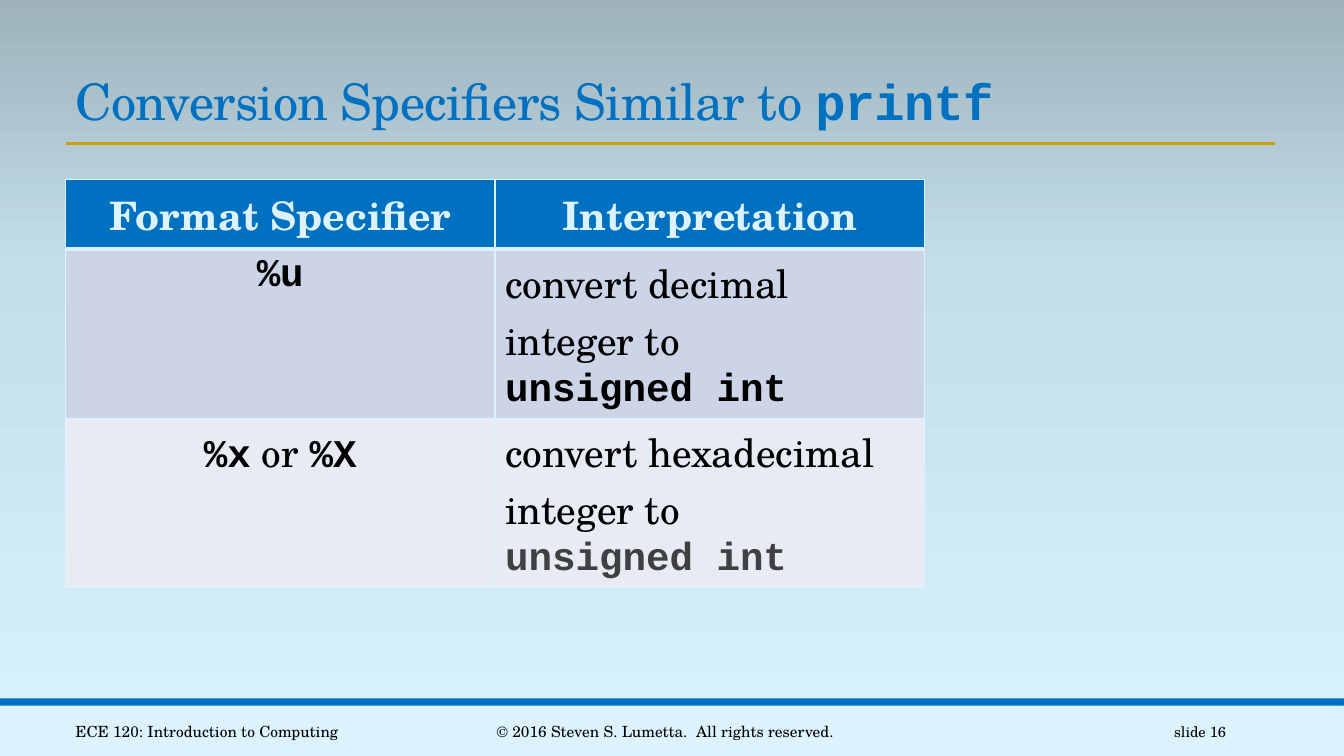
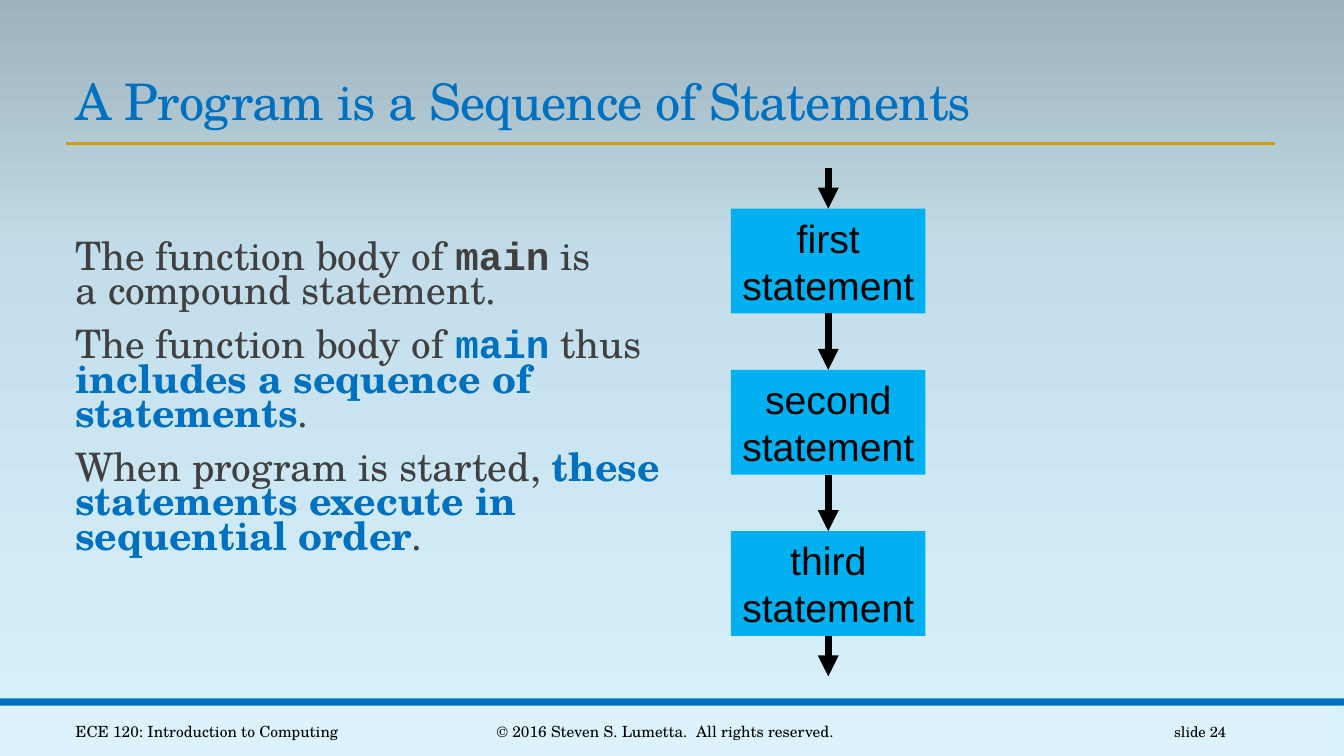
from copy import deepcopy
from dataclasses import dataclass
from typing import Optional

from lxml import etree
from pptx import Presentation
from pptx import util as u
from pptx.dml.color import RGBColor
from pptx.enum import shapes, text
from pptx.oxml.ns import qn


@dataclass(frozen=True)
class Theme:
    blue: str = "0070C0"
    pale: str = "DCF3FD"
    gold: str = "D09E00"
    sky: str = "00B0F0"
    black: str = "000000"
    grey: str = "404040"
    row_fills: tuple = ("CCD5E8", "E7EBF4")
    gradient: tuple = ((0, "DAF4FF"), (65, "C3DEEA"), (100, "9DB2BA"))
    serif: str = "TeX Gyre Schola"
    mono: str = "Courier New"
    sans: str = "Arial"
    title_size: float = 36
    body_size: float = 28
    footer_size: float = 11
    number_size: float = 10.5


THEME = Theme()
LEFT, CENTER, RIGHT = text.PP_ALIGN.LEFT, text.PP_ALIGN.CENTER, text.PP_ALIGN.RIGHT


@dataclass(frozen=True)
class Run:
    words: str
    color: str = THEME.black
    bold: bool = False
    font: str = THEME.serif


@dataclass(frozen=True)
class Box:
    left: float
    top: float
    width: float
    height: float

    def lengths(self) -> tuple:
        return tuple(u.Inches(n) for n in (self.left, self.top, self.width, self.height))


@dataclass(frozen=True)
class Footer:
    words: str
    box: Box
    align: text.PP_ALIGN
    size: float = THEME.footer_size


def code(words: str, color: str = THEME.black) -> Run:
    return Run(words, color, True, THEME.mono)


def grey(words: str) -> Run:
    return Run(words, THEME.grey)


def strong(words: str) -> Run:
    return Run(words, THEME.blue, True)


def rgb(color: str) -> RGBColor:
    return RGBColor.from_string(color)


# Text
def write_runs(paragraph, runs: list[Run], size: float, align=LEFT,
               spacing: Optional[float] = None, tracking: Optional[int] = None) -> None:
    """Fill a paragraph; a newline inside a run becomes a line break."""
    paragraph.alignment = align
    if spacing:
        paragraph.line_spacing = spacing
    for item in runs:
        for index, words in enumerate(item.words.split("\n")):
            if index:
                paragraph.add_line_break()
            run = paragraph.add_run()
            run.text = words
            run.font.name = item.font
            run.font.size = u.Pt(size)
            run.font.bold = item.bold
            run.font.color.rgb = rgb(item.color)
            if tracking:
                run.font._element.set("spc", str(tracking))


def write_paragraphs(frame, paragraphs: list[list[Run]], size: float, align=LEFT,
                     spacing: Optional[float] = None, gap: float = 0) -> None:
    for index, runs in enumerate(paragraphs):
        paragraph = frame.add_paragraph() if index else frame.paragraphs[0]
        paragraph.space_before = u.Pt(gap if index else 0)
        write_runs(paragraph, runs, size, align, spacing)


def add_text_frame(slide, box: Box, anchor=text.MSO_ANCHOR.TOP):
    frame = slide.shapes.add_textbox(*box.lengths()).text_frame
    frame.word_wrap = True
    frame.vertical_anchor = anchor
    return frame


# Shapes and lines
def add_rectangle(slide, box: Box, color: str):
    shape = slide.shapes.add_shape(shapes.MSO_SHAPE.RECTANGLE, *box.lengths())
    shape.shadow.inherit = False
    shape.fill.solid()
    shape.fill.fore_color.rgb = rgb(color)
    shape.line.fill.background()
    return shape


def add_line(slide, start: tuple, end: tuple, color: str, width: float,
             arrow: bool = False) -> None:
    ends = (u.Inches(n) for n in (*start, *end))
    connector = slide.shapes.add_connector(shapes.MSO_CONNECTOR.STRAIGHT, *ends)
    connector.line.color.rgb = rgb(color)
    connector.line.width = u.Pt(width)
    if arrow:
        etree.SubElement(connector.line._get_or_add_ln(), qn("a:tailEnd"), type="triangle")
    etree.SubElement(connector._element.spPr, qn("a:effectLst"))


# Parts shared by the slides
def paint_background(presentation) -> None:
    master = presentation.slide_master
    fill = master.background.fill
    fill.gradient()
    fill.gradient_angle = 90
    stops = next(master.element.iter(qn("a:gsLst")))
    stops.append(deepcopy(stops[-1]))
    for stop, (position, color) in zip(fill.gradient_stops, THEME.gradient):
        stop.position = position / 100
        stop.color.rgb = rgb(color)
        stop.color.brightness = 0


def add_framed_slide(presentation, title: list[Run], number: int):
    slide = presentation.slides.add_slide(presentation.slide_layouts[6])
    add_rectangle(slide, Box(-0.06, 7, 13.33, 0.5), THEME.pale)
    add_rectangle(slide, Box(0, 6.93, 13.33, 0.07), THEME.blue)
    add_line(slide, (0.65, 1.42), (12.65, 1.42), THEME.gold, 2)

    frame = add_text_frame(slide, Box(0.65, 0.59, 12.01, 0.71), text.MSO_ANCHOR.BOTTOM)
    frame.margin_bottom = 0
    write_runs(frame.paragraphs[0], title, THEME.title_size, spacing=0.85, tracking=-50)

    footers = (
        Footer("ECE 120: Introduction to Computing", Box(0.65, 7.06, 3.25, 0.4), LEFT),
        Footer("© 2016 Steven S. Lumetta.  All rights reserved.",
               Box(4.03, 7.06, 5.14, 0.4), CENTER),
        Footer(f"slide {number}", Box(10.83, 7.06, 1.43, 0.4), RIGHT, THEME.number_size),
    )
    for footer in footers:
        frame = add_text_frame(slide, footer.box, text.MSO_ANCHOR.MIDDLE)
        write_runs(frame.paragraphs[0], [Run(footer.words)], footer.size, footer.align)
    return slide


# Slide 16: table of specifiers
def set_borders(cell, bottom: float) -> None:
    properties = cell._tc.get_or_add_tcPr()
    widths = {"a:lnL": 1, "a:lnR": 1, "a:lnT": 1, "a:lnB": bottom}
    for index, (tag, width) in enumerate(widths.items()):
        line = etree.Element(qn(tag), w=str(u.Pt(width)))
        fill = etree.SubElement(line, qn("a:solidFill"))
        etree.SubElement(fill, qn("a:srgbClr"), val=THEME.pale)
        properties.insert(index, line)


def add_specifier_table(slide) -> None:
    header = [[[Run(words, THEME.pale, True)]]
              for words in ("Format Specifier", "Interpretation")]
    rows = [
        header,
        [[[code("%u")]],
         [[Run("convert decimal integer to \n"), code("unsigned int")]]],
        [[[code("%x"), Run(" or "), code("%X")]],
         [[Run("convert hexadecimal integer to")], [code("unsigned int", THEME.grey)]]],
    ]
    heights = (0.69, 1.68, 1.68)
    fills = (THEME.blue, *THEME.row_fills)
    box = Box(0.65, 1.78, 8.52, sum(heights))
    table = slide.shapes.add_table(len(rows), 2, *box.lengths()).table
    for row_index, row in enumerate(rows):
        table.rows[row_index].height = u.Inches(heights[row_index])
        for column_index, paragraphs in enumerate(row):
            cell = table.cell(row_index, column_index)
            cell.fill.solid()
            cell.fill.fore_color.rgb = rgb(fills[row_index])
            set_borders(cell, bottom=1 if row_index else 3)
            align = LEFT if row_index and column_index else CENTER
            write_paragraphs(cell.text_frame, paragraphs, THEME.body_size, align)


# Slide 24: explanation and flow of statements
def add_explanation(slide) -> None:
    frame = add_text_frame(slide, Box(0.65, 2.41, 6.5, 3.8))
    frame.margin_top = frame.margin_bottom = 0
    paragraphs = [
        [grey("The function body of "), code("main", THEME.grey),
         grey(" is \na compound statement.")],
        [grey("The function body of "), code("main", THEME.blue), grey(" thus \n"),
         strong("includes a sequence of \nstatements"), grey(".")],
        [grey("When program is started, "),
         strong("these \nstatements execute in \nsequential order"), grey(".")],
    ]
    write_paragraphs(frame, paragraphs, THEME.body_size, spacing=0.73, gap=14)


def add_statement_flow(slide) -> None:
    left, top, width, height, step = 7.25, 2.07, 1.93, 1.04, 1.6
    ordinals = ("first", "second", "third")
    tops = [top + step * index for index in range(len(ordinals))]
    for ordinal, box_top in zip(ordinals, tops):
        shape = add_rectangle(slide, Box(left, box_top, width, height), THEME.sky)
        frame = shape.text_frame
        frame.word_wrap = False
        frame.vertical_anchor = text.MSO_ANCHOR.MIDDLE
        lines = [[Run(words, font=THEME.sans)] for words in (ordinal, "statement")]
        write_paragraphs(frame, lines, THEME.body_size, CENTER)

    # Arrows enter the first box, join the boxes and leave the last one
    middle, stub = left + width / 2, 0.4
    starts = [top - stub] + [box_top + height for box_top in tops]
    ends = tops + [tops[-1] + height + stub]
    for start, end in zip(starts, ends):
        add_line(slide, (middle, start), (middle, end), THEME.black, 5, arrow=True)


def main() -> None:
    presentation = Presentation()
    presentation.slide_width = u.Inches(13.33)
    presentation.slide_height = u.Inches(7.5)
    paint_background(presentation)

    title = [Run("Conversion Specifiers Similar to ", THEME.blue), code("printf", THEME.blue)]
    add_specifier_table(add_framed_slide(presentation, title, 16))

    title = [Run("A Program is a Sequence of Statements", THEME.blue)]
    slide = add_framed_slide(presentation, title, 24)
    add_explanation(slide)
    add_statement_flow(slide)
    presentation.save("out.pptx")


if __name__ == "__main__":
    main()
